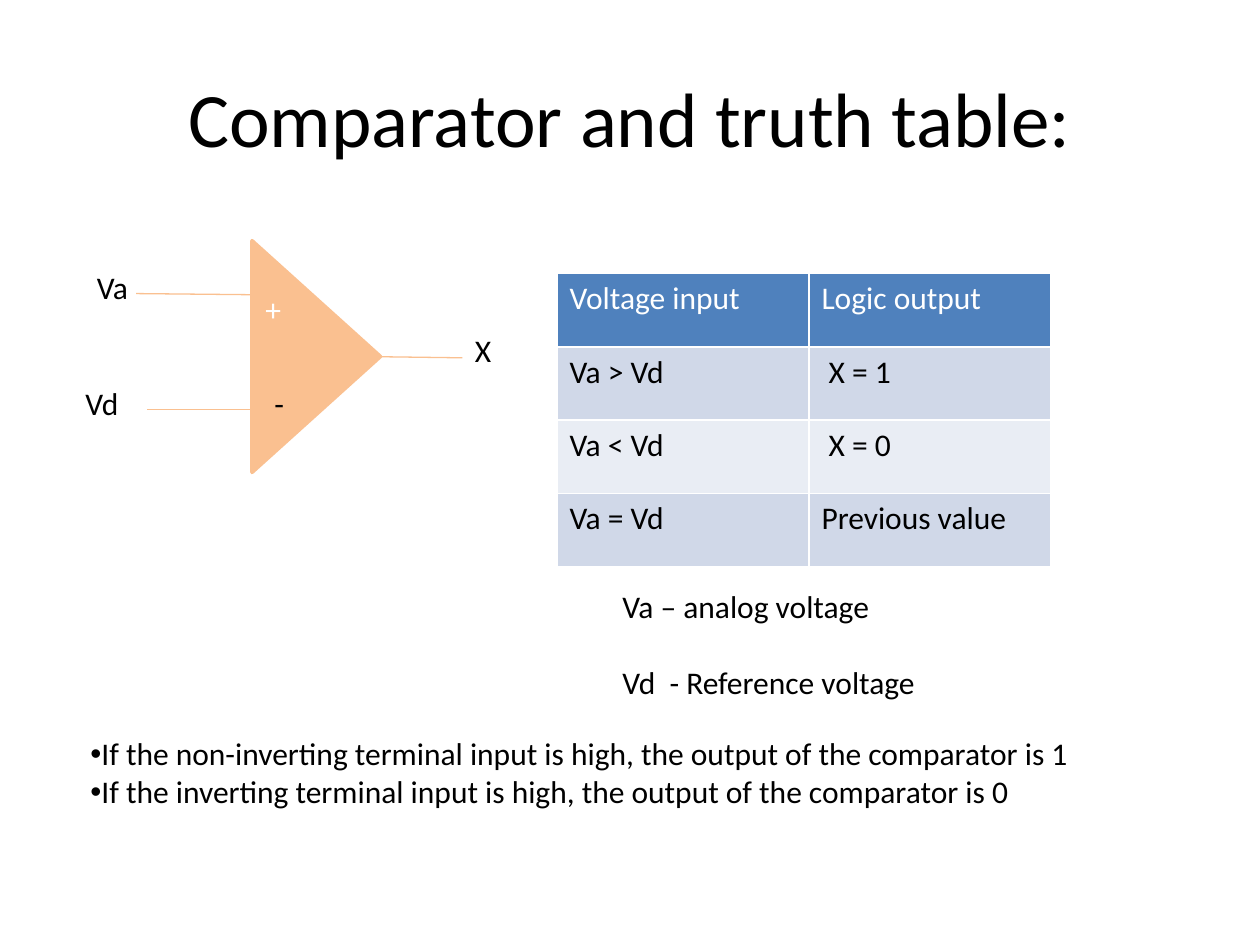
from lxml import etree
from pptx import Presentation
from pptx import util as u
from pptx.dml.color import RGBColor
from pptx.enum import shapes, text
from pptx.oxml.ns import qn

PEACH = "FAC090"


def rgb(code):
    return RGBColor.from_string(code)


def write(frame, *lines, size=18, color="000000", align=None, gap=0,
          bullet=None, wrap=True, inset=0.1):
    frame.word_wrap = wrap
    frame.margin_left = frame.margin_right = u.Inches(inset)
    for i, line in enumerate(lines):
        para = frame.add_paragraph() if i else frame.paragraphs[0]
        para.text = line
        para.alignment = align
        if i and gap:
            para.space_before = u.Pt(gap)
        if bullet:
            props = para._p.get_or_add_pPr()
            etree.SubElement(props, qn("a:buFont")).set("typeface", "Arial")
            etree.SubElement(props, qn("a:buChar")).set("char", bullet)
        font = para.font
        font.name, font.size, font.bold = "Calibri", u.Pt(size), False
        font.color.rgb = rgb(color)


deck = Presentation()
deck.slide_width, deck.slide_height = u.Inches(10), u.Inches(7.5)
slide = deck.slides.add_slide(deck.slide_layouts[5])
items = slide.shapes

title = items.title
title.left, title.top = u.Inches(0.5), u.Inches(0.3)
title.width, title.height = u.Inches(9), u.Inches(1.25)
title.text_frame.vertical_anchor = text.MSO_ANCHOR.MIDDLE
write(title.text_frame, "Comparator and truth table:", size=44,
      align=text.PP_ALIGN.CENTER)

amp = items.add_shape(shapes.MSO_SHAPE.ISOSCELES_TRIANGLE, u.Inches(1.59),
                      u.Inches(2.32), u.Inches(1.84), u.Inches(1.02))
amp.rotation = 90
amp.shadow.inherit = False
amp.fill.solid()
amp.fill.fore_color.rgb = rgb(PEACH)
amp.line.color.rgb = rgb(PEACH)
amp.line.width = u.Pt(2)

wires = [(1.08, 2.33, 2.08, 2.34), (1.17, 3.25, 2.08, 3.25),
         (2.92, 2.83, 3.67, 2.84)]
for ends in wires:
    wire = items.add_connector(shapes.MSO_CONNECTOR.STRAIGHT,
                               *[u.Inches(n) for n in ends])
    wire.line.color.rgb = rgb(PEACH)
    wire.line.width = u.Pt(0.75)
    etree.SubElement(wire._element.spPr, qn("a:effectLst"))

rows = [("Voltage input", "Logic output"), ("Va > Vd", " X = 1"),
        ("Va < Vd", " X = 0"), ("Va = Vd", "Previous value")]
fills = ["4F81BD", "D0D8E8", "E9EDF4", "D0D8E8"]
table = items.add_table(4, 2, u.Inches(4.42), u.Inches(2.17),
                        u.Inches(3.92), u.Inches(2.33)).table
table.columns[0].width, table.columns[1].width = u.Inches(2), u.Inches(1.92)
for r, (row, fill) in enumerate(zip(rows, fills)):
    for c, label in enumerate(row):
        cell = table.cell(r, c)
        cell.fill.solid()
        cell.fill.fore_color.rgb = rgb(fill)
        write(cell.text_frame, label, color="000000" if r else "FFFFFF")

notes = [
    (4.84, 4.61, 3.25, 1.01,
     ["Va – analog voltage", "Vd  - Reference voltage"], {"gap": 22}),
    (0.67, 2.08, 0.5, 0.68, ["Va"], {}),
    (0.58, 3, 0.58, 0.4, ["Vd"], {}),
    (2.08, 2.25, 0.17, 0.4, ["+"], {"color": "FFFFFF", "inset": 0.02,
                                    "align": text.PP_ALIGN.RIGHT}),
    (2.08, 3, 0.33, 0.4, ["-"], {}),
    (3.67, 2.58, 0.42, 0.4, ["X"], {}),
    (0.62, 5.78, 8.06, 1.31,
     ["If the non-inverting terminal input is high, the output of the comparator is 1",
      "If the inverting terminal input is high, the output of the comparator is 0"],
     {"bullet": "•", "wrap": False}),
]
for x, y, w, h, lines, form in notes:
    box = items.add_textbox(u.Inches(x), u.Inches(y), u.Inches(w), u.Inches(h))
    write(box.text_frame, *lines, **form)

deck.save("out.pptx")
